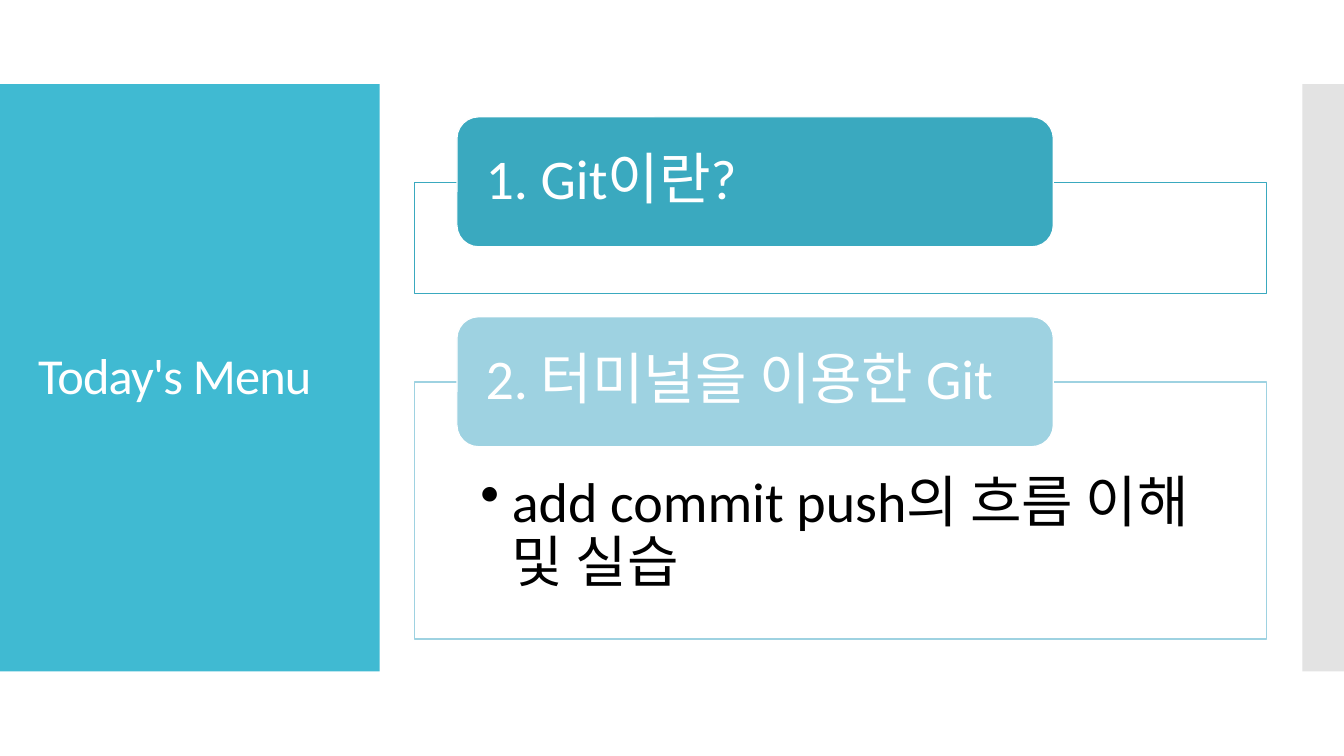
from lxml.etree import SubElement
from pptx import Presentation
from pptx.dml.color import RGBColor
from pptx.enum.shapes import MSO_SHAPE
from pptx.enum.text import MSO_ANCHOR, MSO_AUTO_SIZE, PP_ALIGN
from pptx.oxml.ns import qn
from pptx.util import Pt

WHITE = RGBColor(0xFF, 0xFF, 0xFF)
BLACK = RGBColor(0x00, 0x00, 0x00)
TURQUOISE = RGBColor(0x40, 0xBA, 0xD2)
GREY = RGBColor(0xE3, 0xE3, 0xE3)
TEAL = RGBColor(0x3A, 0xA9, 0xBF)
PALE_TEAL = RGBColor(0x9E, 0xD2, 0xE1)

PANEL_LEFT, PANEL_WIDTH = 296, 608.4
HEADING_LEFT, HEADING_WIDTH, HEADING_HEIGHT = 326.4, 426, 92.8
HEADING_RISE = 46.6  # how far a heading stands above its panel


class MenuSlide:
    font_name = "Calibri"
    item_size = 40
    title_size = 36
    line_width = 0.85

    def __init__(self, presentation):
        self.slide = presentation.slides.add_slide(presentation.slide_layouts[5])

    def box(self, left, top, width, height, fill, line=None, preset=MSO_SHAPE.RECTANGLE):
        shape = self.slide.shapes.add_shape(
            preset, Pt(left), Pt(top), Pt(width), Pt(height))
        shape.shadow.inherit = False
        shape.fill.solid()
        shape.fill.fore_color.rgb = fill
        if line is None:
            shape.line.fill.background()
        else:
            shape.line.color.rgb = line
            shape.line.width = Pt(self.line_width)
        return shape

    def set_text(self, shape, text, size, color, margins, anchor=MSO_ANCHOR.MIDDLE, bullet_indent=0):
        frame = shape.text_frame
        frame.text = text
        frame.word_wrap = True
        frame.auto_size = MSO_AUTO_SIZE.NONE
        frame.vertical_anchor = anchor
        frame.margin_left, frame.margin_top, frame.margin_right, frame.margin_bottom = map(Pt, margins)
        paragraph = frame.paragraphs[0]
        paragraph.alignment = PP_ALIGN.LEFT
        paragraph.line_spacing = 0.9
        if bullet_indent:
            properties = paragraph._p.get_or_add_pPr()
            properties.set("marL", str(Pt(bullet_indent)))
            properties.set("indent", str(-Pt(bullet_indent)))
            SubElement(properties, qn("a:buChar")).set("char", "•")
        paragraph.font.name = self.font_name
        paragraph.font.size = Pt(size)
        paragraph.font.color.rgb = color
        return paragraph

    def title(self, text, left, top, width, height):
        title = self.slide.shapes.title
        title.left, title.top, title.width, title.height = map(Pt, (left, top, width, height))
        paragraph = self.set_text(title, text, self.title_size, WHITE, (7.2, 3.6, 7.2, 3.6))
        # Slightly tightened letter spacing, in hundredths of a point
        paragraph.runs[0]._r.get_or_add_rPr().set("spc", "-60")
        # Bring the title in front of the side band
        self.slide.shapes._spTree.append(title._element)

    def menu_item(self, heading, top, height, color, detail=None):
        panel = self.box(PANEL_LEFT, top, PANEL_WIDTH, height, WHITE, color)
        if detail:
            self.set_text(panel, detail, self.item_size, BLACK, (47.2, 65.6, 47.2, 22.4),
                          MSO_ANCHOR.TOP, bullet_indent=22.5)
        label = self.box(HEADING_LEFT, top - HEADING_RISE, HEADING_WIDTH, HEADING_HEIGHT,
                         color, WHITE, MSO_SHAPE.ROUNDED_RECTANGLE)
        self.set_text(label, heading, self.item_size, WHITE, (16, 0, 28, 0))


def main():
    presentation = Presentation()
    presentation.slide_width, presentation.slide_height = Pt(960), Pt(540)
    menu = MenuSlide(presentation)

    # Side bands and title
    menu.box(0, 60, 271.2, 419.5, TURQUOISE)
    menu.box(930.3, 60, 29.7, 419.5, GREY)
    menu.title("Today's Menu", 20, 88.6, 232, 362.4)

    # Menu items
    menu.menu_item("1. Git이란?", 130.1, 79.4, TEAL)
    menu.menu_item("2. 터미널을 이용한 Git", 272.9, 183.6, PALE_TEAL,
                   "add commit push의 흐름 이해 및 실습")

    presentation.save("out.pptx")


if __name__ == "__main__":
    main()
